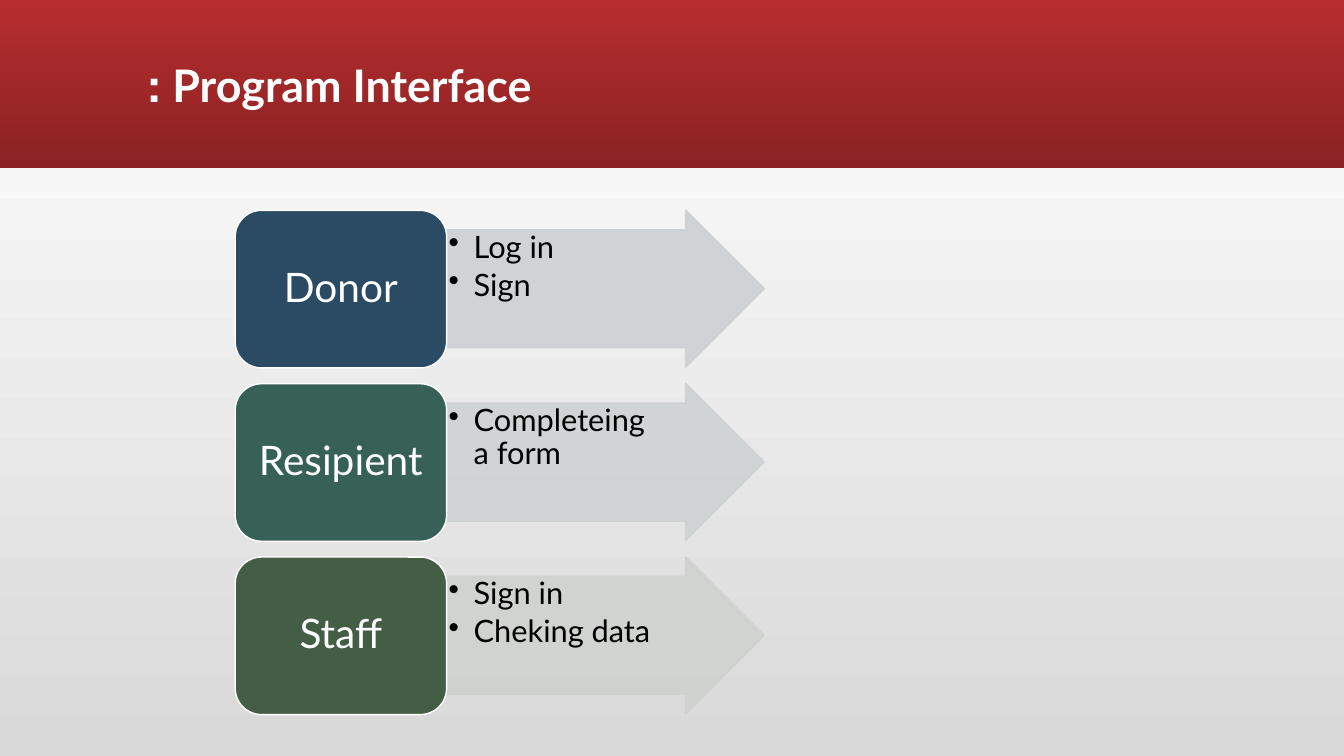
import pptx
import pptx.util
from lxml import etree
from pptx.dml.color import RGBColor
from pptx.enum.shapes import MSO_SHAPE
from pptx.enum.text import MSO_ANCHOR, PP_ALIGN
from pptx.oxml.ns import qn

Pt = pptx.util.Pt

WHITE = RGBColor(0xFF, 0xFF, 0xFF)
BLACK = RGBColor(0x00, 0x00, 0x00)
BACKGROUND_GREY = RGBColor(0xD9, 0xD9, 0xD9)
BANNER_RED = RGBColor(0xB8, 0x2D, 0x2F)
BANNER_DARK_RED = RGBColor(0x8A, 0x22, 0x23)

# Role, box colour, arrow colour, actions
ROLES = [
    ("Donor", RGBColor(0x2B, 0x4A, 0x63), RGBColor(0xCD, 0xD0, 0xD3),
     ["Log in", "Sign"]),
    ("Resipient", RGBColor(0x37, 0x61, 0x56), RGBColor(0xCE, 0xD2, 0xD2),
     ["Completeing a form"]),
    ("Staff", RGBColor(0x44, 0x5E, 0x45), RGBColor(0xCF, 0xD2, 0xCF),
     ["Sign in", "Cheking data"]),
]
ROW_TOP, ROW_PITCH, ROW_HEIGHT = 150, 123.8, 112.5
BOX_LEFT, BOX_WIDTH, ARROW_WIDTH = 168, 151, 227


def set_gradient(fill, start, end, angle):
    fill.gradient()
    fill.gradient_angle = angle
    for stop, colour in zip(fill.gradient_stops, (start, end)):
        stop.color.rgb = colour


def style_paragraph(paragraph, size, colour):
    paragraph.line_spacing = 0.9
    paragraph.font.name = "Lato"
    paragraph.font.size = Pt(size)
    paragraph.font.color.rgb = colour


prs = pptx.Presentation()
prs.slide_width, prs.slide_height = Pt(960), Pt(540)
slide = prs.slides.add_slide(prs.slide_layouts[6])
set_gradient(slide.background.fill, BACKGROUND_GREY, WHITE, 90)

# Banner
banner = slide.shapes.add_shape(MSO_SHAPE.RECTANGLE, 0, 0, Pt(960), Pt(120))
banner.shadow.inherit = False
banner.line.fill.background()
set_gradient(banner.fill, BANNER_RED, BANNER_DARK_RED, 270)

# Title, set right to left
title = slide.shapes.add_textbox(Pt(54), Pt(42), Pt(378), Pt(54))
title.text_frame.word_wrap = True
heading = title.text_frame.paragraphs[0]
heading.text = "Program Interface :"
heading.alignment = PP_ALIGN.CENTER
style_paragraph(heading, 32, WHITE)
heading.font.bold = True
heading._p.get_or_add_pPr().set("rtl", "1")

# One row per role
for row, (role, box_colour, arrow_colour, actions) in enumerate(ROLES):
    top = ROW_TOP + row * ROW_PITCH

    # Arrow with bulleted actions
    arrow = slide.shapes.add_shape(
        MSO_SHAPE.RIGHT_ARROW, Pt(BOX_LEFT + BOX_WIDTH), Pt(top),
        Pt(ARROW_WIDTH), Pt(ROW_HEIGHT))
    arrow.adjustments[0] = 0.75
    arrow.shadow.inherit = False
    arrow.line.width = Pt(1)
    for paint in (arrow.fill, arrow.line.fill):
        paint.solid()
        paint.fore_color.rgb = arrow_colour
    for colour in arrow._element.spPr.iter(qn("a:srgbClr")):
        etree.SubElement(colour, qn("a:alpha"), val="90000")

    action_frame = arrow.text_frame
    action_frame.word_wrap = True
    action_frame.vertical_anchor = MSO_ANCHOR.TOP
    action_frame.margin_left = action_frame.margin_top = Pt(1.4)
    action_frame.margin_bottom = Pt(1.4)
    action_frame.margin_right = Pt(30)  # keeps the text out of the head
    action_frame.text = "\n".join(actions)
    for action in action_frame.paragraphs:
        action.alignment = PP_ALIGN.LEFT
        action.space_after = Pt(3.3)
        style_paragraph(action, 22, BLACK)
        properties = action._p.get_or_add_pPr()
        properties.set("marL", str(Pt(18)))
        properties.set("indent", str(-Pt(18)))
        bullet = etree.Element(qn("a:buChar"), char="•")
        properties.find(qn("a:defRPr")).addprevious(bullet)

    # Role box
    box = slide.shapes.add_shape(
        MSO_SHAPE.ROUNDED_RECTANGLE, Pt(BOX_LEFT), Pt(top + 0.3),
        Pt(BOX_WIDTH), Pt(ROW_HEIGHT))
    box.shadow.inherit = False
    box.fill.solid()
    box.fill.fore_color.rgb = box_colour
    box.line.color.rgb = WHITE
    box.line.width = Pt(1)
    role_frame = box.text_frame
    role_frame.word_wrap = True
    role_frame.vertical_anchor = MSO_ANCHOR.MIDDLE
    role_frame.margin_left = role_frame.margin_right = Pt(8)
    role_frame.margin_top = role_frame.margin_bottom = Pt(4)
    role_frame.text = role
    label = role_frame.paragraphs[0]
    label.alignment = PP_ALIGN.CENTER
    style_paragraph(label, 29, WHITE)

prs.save("out.pptx")
